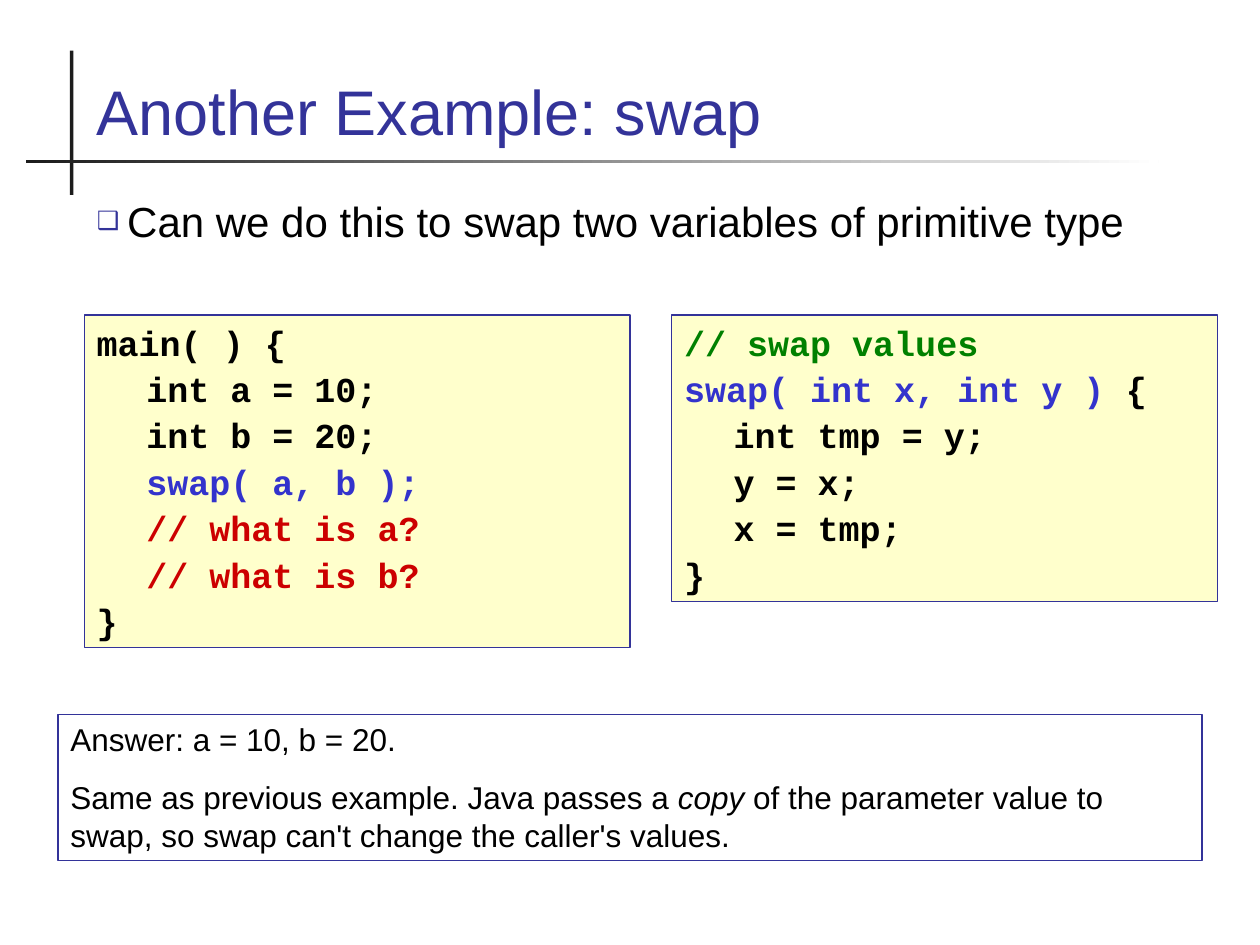
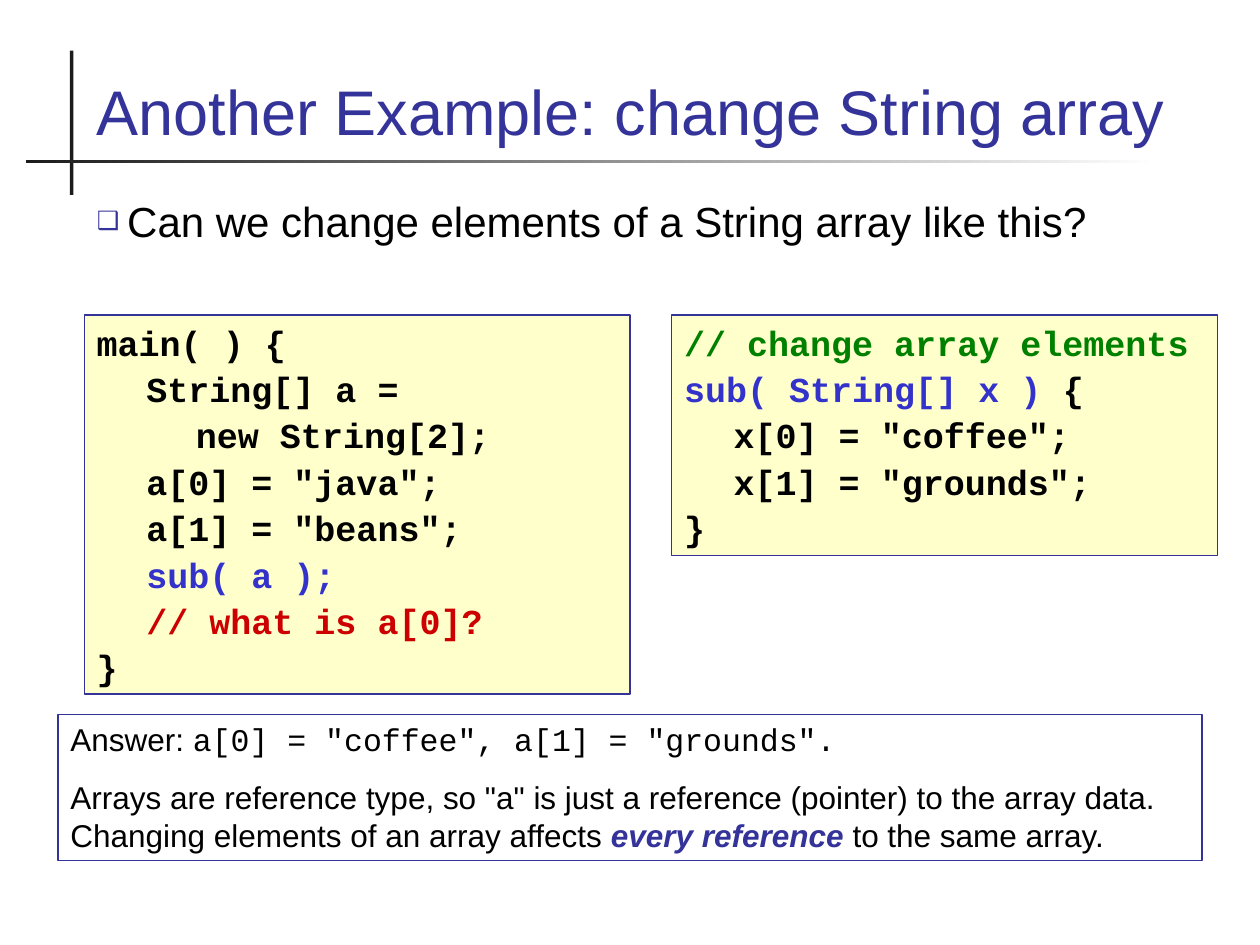
from lxml import etree
from pptx import Presentation
from pptx.dml.color import RGBColor
from pptx.enum.shapes import MSO_SHAPE
from pptx.enum.text import MSO_ANCHOR, MSO_AUTO_SIZE, PP_ALIGN
from pptx.oxml.ns import qn
from pptx.util import Cm, Pt

NAVY, BLUE, RED, GREEN = "333399", "3333CC", "CC0000", "008000"
BLACK, CHARCOAL, WHITE, CREAM = "000000", "1C1C1C", "FFFFFF", "FFFFCC"
SANS, MONO = "Arial", "Courier New"


def rgb(hex_color):
    return RGBColor.from_string(hex_color)


def place(sp, left, top, width, height):
    sp.left, sp.top, sp.width, sp.height = Cm(left), Cm(top), Cm(width), Cm(height)


class Deck:
    """Style of the lecture and the slide being filled."""

    def __init__(self):
        self.prs = Presentation()
        self.prs.slide_width, self.prs.slide_height = Cm(25.4), Cm(19.05)
        self.layout = self.prs.slide_layouts[1]
        self.slide = None

    def new_slide(self):
        self.slide = self.prs.slides.add_slide(self.layout)

    def rect(self, left, top, width, height, fill=None, line=None):
        sp = self.slide.shapes.add_shape(
            MSO_SHAPE.RECTANGLE, Cm(left), Cm(top), Cm(width), Cm(height))
        sp.shadow.inherit = False
        if fill:
            sp.fill.solid()
            sp.fill.fore_color.rgb = rgb(fill)
        else:
            sp.fill.background()
        if line:
            sp.line.color.rgb = rgb(line)
            sp.line.width = Pt(0.75)
        else:
            sp.line.fill.background()
        return sp

    def layout_rules(self):
        upright = self.rect(1.41, 1.02, 0.07, 2.91, CHARCOAL)
        fading = self.rect(0.53, 3.22, 22.83, 0.07)
        fading.fill.gradient()
        fading.fill.gradient_angle = 0
        for stop, color in zip(fading.fill.gradient_stops, (CHARCOAL, WHITE)):
            stop.color.rgb = rgb(color)
        for sp in (upright, fading):
            self.layout.shapes.element.append(sp.element)

    def frame(self, sp, anchor=MSO_ANCHOR.TOP):
        tf = sp.text_frame
        tf.word_wrap = True
        tf.auto_size = MSO_AUTO_SIZE.NONE
        tf.vertical_anchor = anchor
        return tf

    def font(self, r, size, name=SANS, color=BLACK, bold=False, italic=False):
        f = r.font
        f.size, f.name, f.bold, f.italic = Pt(size), name, bold, italic
        f.color.rgb = rgb(color)

    def title(self, text, width=22):
        sp = self.slide.shapes.title
        place(sp, 1.7, 0.71, width, 2.41)
        tf = self.frame(sp, MSO_ANCHOR.BOTTOM)
        tf.text = text
        p = tf.paragraphs[0]
        p.alignment = PP_ALIGN.LEFT
        self.font(p.runs[0], 36, color=NAVY)

    def question(self, text):
        sp = self.slide.placeholders[1]
        place(sp, 1.7, 3.81, 22, 2.34)
        tf = self.frame(sp)
        tf.text = text
        p = tf.paragraphs[0]
        pPr = p._p.get_or_add_pPr()
        pPr.set("marL", str(Cm(0.61)))
        pPr.set("indent", str(-Cm(0.61)))
        color = etree.SubElement(pPr, qn("a:buClr"))
        etree.SubElement(color, qn("a:srgbClr"), val=NAVY)
        etree.SubElement(pPr, qn("a:buSzPct"), val="60000")
        etree.SubElement(pPr, qn("a:buFont"), typeface=SANS)
        etree.SubElement(pPr, qn("a:buChar"), char="❑")
        p.space_before = Pt(0)
        self.font(p.runs[0], 24)

    def lines(self, sp, lines, gap, **style):
        tf = self.frame(sp)
        for i, parts in enumerate(lines):
            p = tf.add_paragraph() if i else tf.paragraphs[0]
            tabs = etree.SubElement(p._p.get_or_add_pPr(), qn("a:tabLst"))
            for stop in range(1, 3):
                etree.SubElement(tabs, qn("a:tab"), pos=str(Cm(stop)), algn="l")
            p.alignment = PP_ALIGN.LEFT
            p.space_before = Pt(gap if i else 0)
            for text, changes in parts:
                r = p.add_run()
                r.text = text
                self.font(r, **{**style, **changes})

    def code(self, left, *lines):
        sp = self.rect(left, 6.35, 11, 0.2 + 0.93 * len(lines), CREAM, NAVY)
        colored = [[(text, {"color": color}) for text, color in parts]
                   for parts in lines]
        self.lines(sp, colored, 2.5, size=20, name=MONO, bold=True)

    def answer(self, *lines):
        sp = self.rect(1.17, 14.4, 23.06, 2.95, line=NAVY)
        self.lines(sp, lines, 11.2, size=18)


def plain(text):
    return [(text, BLACK)]


def main():
    left, right = 1.7, 13.54
    deck = Deck()

    deck.new_slide()
    deck.layout_rules()
    deck.title("Another Example: swap")
    deck.question("Can we do this to swap two variables of primitive type")
    deck.code(left,
              plain("main( ) {"),
              plain("\tint a = 10;"),
              plain("\tint b = 20;"),
              [("\tswap( a, b );", BLUE)],
              [("\t// what is a?", RED)],
              [("\t// what is b?", RED)],
              plain("}"))
    deck.code(right,
              [("// swap values", GREEN)],
              [("swap( int x, int y )", BLUE), (" {", BLACK)],
              plain("\tint tmp = y;"),
              plain("\ty = x;"),
              plain("\tx = tmp;"),
              plain("}"))
    deck.answer(
        [("Answer: a = 10, b = 20.", {})],
        [("Same as previous example. Java passes a ", {}),
         ("copy", {"italic": True}),
         (" of the parameter value to swap, so swap can't change "
          "the caller's values.", {})])

    deck.new_slide()
    deck.title("Another Example: change String array", 23.27)
    deck.question("Can we change elements of a String array like this?")
    deck.code(left,
              plain("main( ) {"),
              plain("\tString[] a ="),
              plain("\t\tnew String[2];"),
              plain('\ta[0] = "java";'),
              plain('\ta[1] = "beans";'),
              [("\tsub( a );", BLUE)],
              [("\t// what is a[0]?", RED)],
              plain("}"))
    deck.code(right,
              [("// change array elements", GREEN)],
              [("sub( String[] x )", BLUE), (" {", BLACK)],
              plain('\tx[0] = "coffee";'),
              plain('\tx[1] = "grounds";'),
              plain("}"))
    deck.answer(
        [("Answer: ", {}),
         ('a[0] = "coffee", a[1] = "grounds".', {"name": MONO})],
        [('Arrays are reference type, so "a" is just a reference (pointer) '
          "to the array data. Changing elements of an array affects ", {}),
         ("every reference", {"color": NAVY, "bold": True, "italic": True}),
         (" to the same array.", {})])

    deck.prs.save("out.pptx")


if __name__ == "__main__":
    main()
